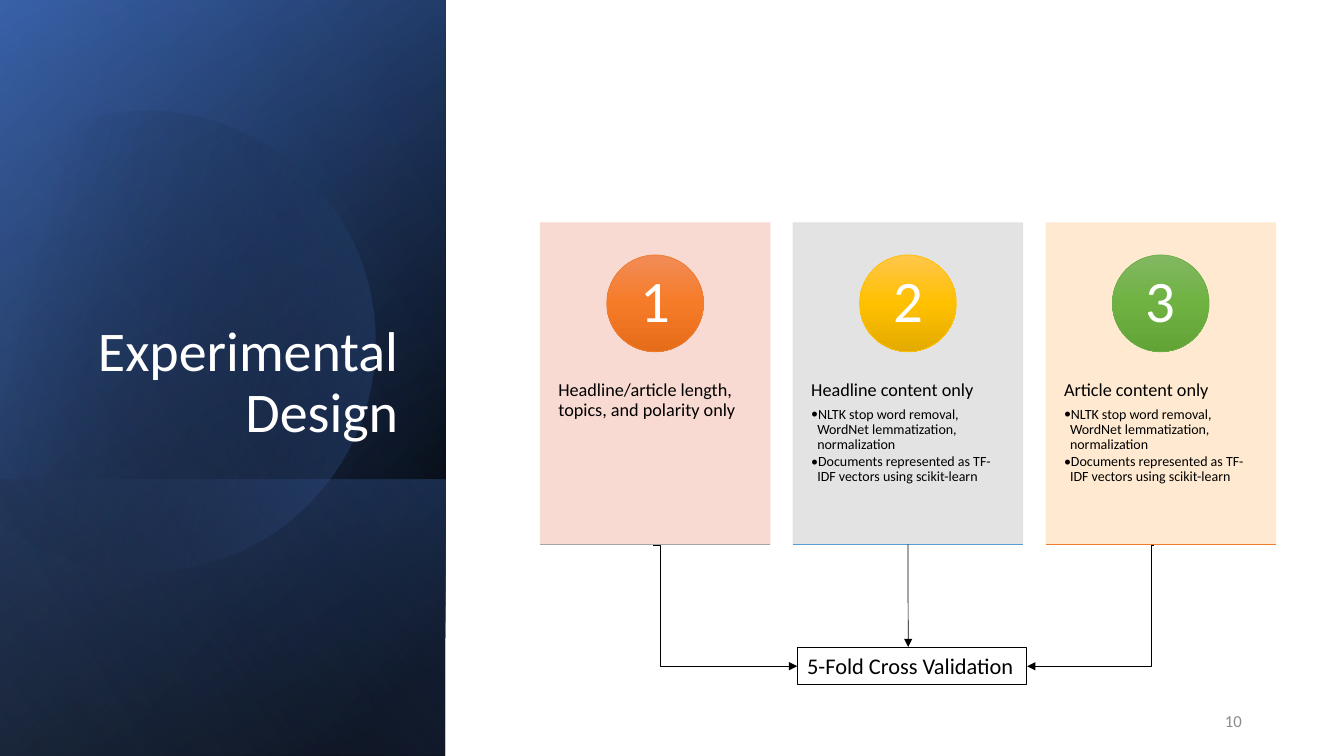
"""Build the Experimental Design slide: three feature sets feeding one validation step."""
from dataclasses import dataclass
from math import cos, radians, sin
from typing import Any, NamedTuple

from lxml.etree import SubElement
from pptx import Presentation
from pptx.dml.color import RGBColor
from pptx.enum.shapes import MSO_CONNECTOR as Link, MSO_SHAPE as Preset
from pptx.enum.text import MSO_ANCHOR as Anchor, MSO_AUTO_SIZE as AutoSize, PP_ALIGN as Align
from pptx.oxml.ns import qn
from pptx.util import Inches, Pt

BLACK = RGBColor(0x00, 0x00, 0x00)
WHITE = RGBColor(0xFF, 0xFF, 0xFF)
GRAY = RGBColor(0x8C, 0x8C, 0x8C)
NAVY = RGBColor(0x2F, 0x55, 0x97)
BLUE = RGBColor(0x44, 0x72, 0xC4)
PALE_BLUE = RGBColor(0x8F, 0xAA, 0xDC)
PINK = RGBColor(0xF8, 0xD7, 0xCE)
SILVER = RGBColor(0xE1, 0xE1, 0xE1)
PEACH = RGBColor(0xFF, 0xE8, 0xCC)
ORANGE = RGBColor(0xED, 0x7D, 0x31)
ORANGE_RAMP = (RGBColor(0xF1, 0x8C, 0x57), RGBColor(0xF6, 0x7B, 0x28), RGBColor(0xE5, 0x6C, 0x19))
GOLD = RGBColor(0xFF, 0xC0, 0x00)
GOLD_RAMP = (RGBColor(0xFF, 0xC6, 0x4B), GOLD, RGBColor(0xE3, 0xAB, 0x00))
GREEN = RGBColor(0x70, 0xAD, 0x47)
GREEN_RAMP = (RGBColor(0x81, 0xB8, 0x61), RGBColor(0x6F, 0xB2, 0x42), RGBColor(0x62, 0xA3, 0x36))
STEEL = RGBColor(0xA5, 0xA5, 0xA5)
SKY = RGBColor(0x5B, 0x9B, 0xD5)

SIDEBAR_WIDTH, PAGE_HEIGHT = 4.42, 7.5
CARD_LEFT, CARD_TOP, CARD_WIDTH, CARD_HEIGHT = 5.36, 2.21, 2.28, 3.19
CARD_PITCH = 1.1 * CARD_WIDTH
CIRCLE_TOP, CIRCLE_SIZE = 2.53, 0.96
LINK_TOP = 5.41


class Stop(NamedTuple):
    position: int
    color: RGBColor
    opacity: int = 100


@dataclass
class Band:
    top: float
    stops: list[Stop]
    angle: int


@dataclass
class Card:
    heading: str
    bullets: list[str]
    fill: RGBColor
    circle_line: RGBColor
    ramp: tuple[RGBColor, ...]
    base_line: RGBColor


BANDS = [
    Band(0, [Stop(8, BLACK), Stop(100, NAVY)], 50),
    Band(0, [Stop(0, BLACK, 0), Stop(99, BLUE, 46)], 30),
    Band(4.76, [Stop(2, BLUE, 29), Stop(100, BLACK, 30)], 130),
]
SHEEN = Band(0, [Stop(0, BLACK, 0), Stop(99, PALE_BLUE, 11)], 120)
DISC_LEFT, DISC_TOP, DISC_WIDTH, DISC_HEIGHT, DISC_TURN = -0.55, 1.06, 4.27, 4.57, 343.9
DISC_STOPS = [Stop(29, BLACK, 0), Stop(100, BLUE, 43)]
DISC_OUTLINE = [
    [(1.49, 1.1)],
    [(2.46, 1.12), (3.35, 1.77), (3.63, 2.75)],
    [(3.98, 3.97), (3.28, 5.23), (2.07, 5.58)],
    [(1.31, 5.8), (0.53, 5.61), (-0.03, 5.14)],
    [(-0.15, 5.03)],
    [(-0.15, 1.75)],
    [(0, 1.61)],
    [(0.23, 1.42), (0.5, 1.28), (0.8, 1.19)],
    [(1.03, 1.13), (1.26, 1.1), (1.49, 1.1)],
]
CONTENT_STEPS = [
    "NLTK stop word removal, WordNet lemmatization, normalization",
    "Documents represented as TF-IDF vectors using scikit-learn",
]
CARDS = [
    Card("Headline/article length, topics, and polarity only", [], PINK, ORANGE, ORANGE_RAMP, STEEL),
    Card("Headline content only", CONTENT_STEPS, SILVER, GOLD, GOLD_RAMP, SKY),
    Card("Article content only", CONTENT_STEPS, PEACH, GREEN, GREEN_RAMP, ORANGE),
]


def assign(target: Any, values: dict[str, Any]) -> None:
    for name, value in values.items():
        setattr(target, name, value)


def set_opacity(color_element: Any, percent: int) -> None:
    SubElement(color_element, qn("a:alpha"), val=str(percent * 1000))


def paint_gradient(shape: Any, stops: list[Stop], angle: int) -> None:
    shape.fill.gradient()
    shape.fill.gradient_angle = (360 - angle) % 360
    ramp = shape.element.find(".//" + qn("a:gsLst"))
    for child in list(ramp):
        ramp.remove(child)
    for stop in stops:
        entry = SubElement(ramp, qn("a:gs"), pos=str(stop.position * 1000))
        color = SubElement(entry, qn("a:srgbClr"), val=str(stop.color))
        set_opacity(color, stop.opacity)


def add_box(page: Any, preset: Any, left: float, top: float, width: float, height: float) -> Any:
    box = page.shapes.add_shape(preset, Inches(left), Inches(top), Inches(width), Inches(height))
    box.shadow.inherit = False
    box.line.fill.background()
    return box


def add_text(page: Any, left: float, top: float, width: float, height: float) -> Any:
    box = page.shapes.add_textbox(Inches(left), Inches(top), Inches(width), Inches(height))
    assign(box.text_frame, {"word_wrap": True, "auto_size": AutoSize.NONE})
    return box


def write(para: Any, text: str, size: int, color: RGBColor = BLACK, **layout: Any) -> None:
    span = para.add_run()
    span.text = text
    assign(span.font, {"size": Pt(size), "name": "Calibri"})
    span.font.color.rgb = color
    assign(para, layout)


def set_insets(frame: Any, side: float, end: float) -> None:
    assign(frame, {"margin_left": Inches(side), "margin_right": Inches(side),
                   "margin_top": Inches(end), "margin_bottom": Inches(end)})


def add_band(page: Any, band: Band) -> None:
    height = PAGE_HEIGHT - band.top
    shift = (SIDEBAR_WIDTH - height) / 2
    box = add_box(page, Preset.RECTANGLE, shift, band.top - shift, height, SIDEBAR_WIDTH)
    box.rotation = 90
    box.element.spPr.find(qn("a:xfrm")).set("flipH", "1")
    paint_gradient(box, band.stops, band.angle)


def unturn(point: tuple[float, float]) -> tuple[float, float]:
    turn = radians(360 - DISC_TURN)
    across = point[0] - DISC_LEFT - DISC_WIDTH / 2
    down = point[1] - DISC_TOP - DISC_HEIGHT / 2
    return (across * cos(turn) - down * sin(turn) + DISC_WIDTH / 2,
            across * sin(turn) + down * cos(turn) + DISC_HEIGHT / 2)


def add_disc(page: Any) -> None:
    builder = page.shapes.build_freeform(0, 0, scale=Inches(1))
    builder.add_line_segments([(1, 0), (1, 1)])
    disc = builder.convert_to_shape()
    assign(disc, {"left": Inches(DISC_LEFT), "top": Inches(DISC_TOP), "width": Inches(DISC_WIDTH),
                  "height": Inches(DISC_HEIGHT), "rotation": DISC_TURN})
    outline = disc.element.find(".//" + qn("a:pathLst"))[0]
    for child in list(outline):
        outline.remove(child)
    outline.set("w", str(Inches(DISC_WIDTH)))
    outline.set("h", str(Inches(DISC_HEIGHT)))
    for index, points in enumerate(DISC_OUTLINE):
        tag = "a:moveTo" if index == 0 else "a:cubicBezTo" if len(points) == 3 else "a:lnTo"
        segment = SubElement(outline, qn(tag))
        for across, down in map(unturn, points):
            SubElement(segment, qn("a:pt"), x=str(Inches(across)), y=str(Inches(down)))
    SubElement(outline, qn("a:close"))
    disc.shadow.inherit = False
    disc.line.fill.background()
    paint_gradient(disc, DISC_STOPS, 30)


def add_line(page: Any, kind: Any, start: tuple[float, float], end: tuple[float, float],
             color: RGBColor = BLACK, bend: int = 0, arrow: bool = True) -> Any:
    line = page.shapes.add_connector(kind, *map(Inches, start + end))
    line.line.width = Pt(0.5)
    line.line.color.rgb = color
    properties = line.element.spPr
    SubElement(properties, qn("a:effectLst"))
    if arrow:
        SubElement(properties.find(qn("a:ln")), qn("a:tailEnd"), type="triangle")
    if bend:
        guides = properties.find(".//" + qn("a:avLst"))
        SubElement(guides, qn("a:gd"), name="adj1", fmla=f"val {bend}")
    return line


def add_card(page: Any, index: int, card: Card) -> Any:
    left = CARD_LEFT + index * CARD_PITCH
    bottom = CARD_TOP + CARD_HEIGHT
    panel = add_box(page, Preset.RECTANGLE, left, CARD_TOP, CARD_WIDTH, CARD_HEIGHT)
    panel.fill.solid()
    panel.fill.fore_color.rgb = panel.line.color.rgb = card.fill
    panel.line.width = Pt(0.5)
    for color in panel.element.spPr.iter(qn("a:srgbClr")):
        set_opacity(color, 90)

    frame = add_text(page, left, 3.42, CARD_WIDTH, 1.91).text_frame
    set_insets(frame, 0.18, 0.36)
    write(frame.paragraphs[0], card.heading, 13, line_spacing=0.9, space_after=Pt(4.55))
    for bullet in card.bullets:
        para = frame.add_paragraph()
        write(para, bullet, 10, level=1, line_spacing=0.9, space_after=Pt(1.5))
        properties = para._p.get_or_add_pPr()
        properties.set("marL", str(Inches(0.06)))
        properties.set("indent", str(Inches(-0.06)))
        SubElement(properties, qn("a:buFont"), typeface="Calibri")
        SubElement(properties, qn("a:buChar"), char="•")

    circle = add_box(page, Preset.OVAL, left + (CARD_WIDTH - CIRCLE_SIZE) / 2, CIRCLE_TOP,
                     CIRCLE_SIZE, CIRCLE_SIZE)
    paint_gradient(circle, [Stop(50 * step, color) for step, color in enumerate(card.ramp)], 90)
    circle.line.color.rgb = card.circle_line
    circle.line.width = Pt(0.5)
    set_insets(circle.text_frame, 0.07, 0.01)
    circle.text_frame.vertical_anchor = Anchor.MIDDLE
    write(circle.text_frame.paragraphs[0], str(index + 1), 42, WHITE,
          alignment=Align.CENTER, line_spacing=0.9)
    add_line(page, Link.STRAIGHT, (left, bottom), (left + CARD_WIDTH, bottom), card.base_line, arrow=False)
    return panel


def main() -> None:
    deck = Presentation()
    assign(deck, {"slide_width": Inches(PAGE_HEIGHT * 16 / 9), "slide_height": Inches(PAGE_HEIGHT)})
    page = deck.slides.add_slide(deck.slide_layouts[5])
    for band in BANDS:
        add_band(page, band)
    add_disc(page)
    add_band(page, SHEEN)

    title = page.shapes.title
    title.element.getparent().append(title.element)
    assign(title, {"left": Inches(0.64), "top": Inches(1.84), "width": Inches(3.41), "height": Inches(2.62)})
    assign(title.text_frame, {"vertical_anchor": Anchor.BOTTOM, "word_wrap": True, "auto_size": AutoSize.NONE})
    write(title.text_frame.paragraphs[0], "Experimental Design", 40, WHITE,
          alignment=Align.RIGHT, line_spacing=0.9)

    panels = [add_card(page, index, card) for index, card in enumerate(CARDS)]
    add_line(page, Link.ELBOW, (6.48, LINK_TOP), (7.91, 6.61), bend=5200)
    add_line(page, Link.ELBOW, (11.45, LINK_TOP), (10.19, 6.61), bend=2000)
    add_line(page, Link.STRAIGHT, (9.01, LINK_TOP), (9.01, 6.42)).begin_connect(panels[1], 2)

    validation = add_text(page, 7.91, 6.42, 2.27, 0.37)
    validation.line.color.rgb = BLACK
    validation.line.width = Pt(0.75)
    assign(validation.text_frame, {"word_wrap": False, "auto_size": AutoSize.SHAPE_TO_FIT_TEXT})
    write(validation.text_frame.paragraphs[0], "5-Fold Cross Validation", 16)

    number = add_text(page, 9.42, 6.95, 3, 0.4).text_frame
    number.vertical_anchor = Anchor.MIDDLE
    write(number.paragraphs[0], "10", 12, GRAY, alignment=Align.RIGHT)
    deck.save("out.pptx")


if __name__ == "__main__":
    main()
